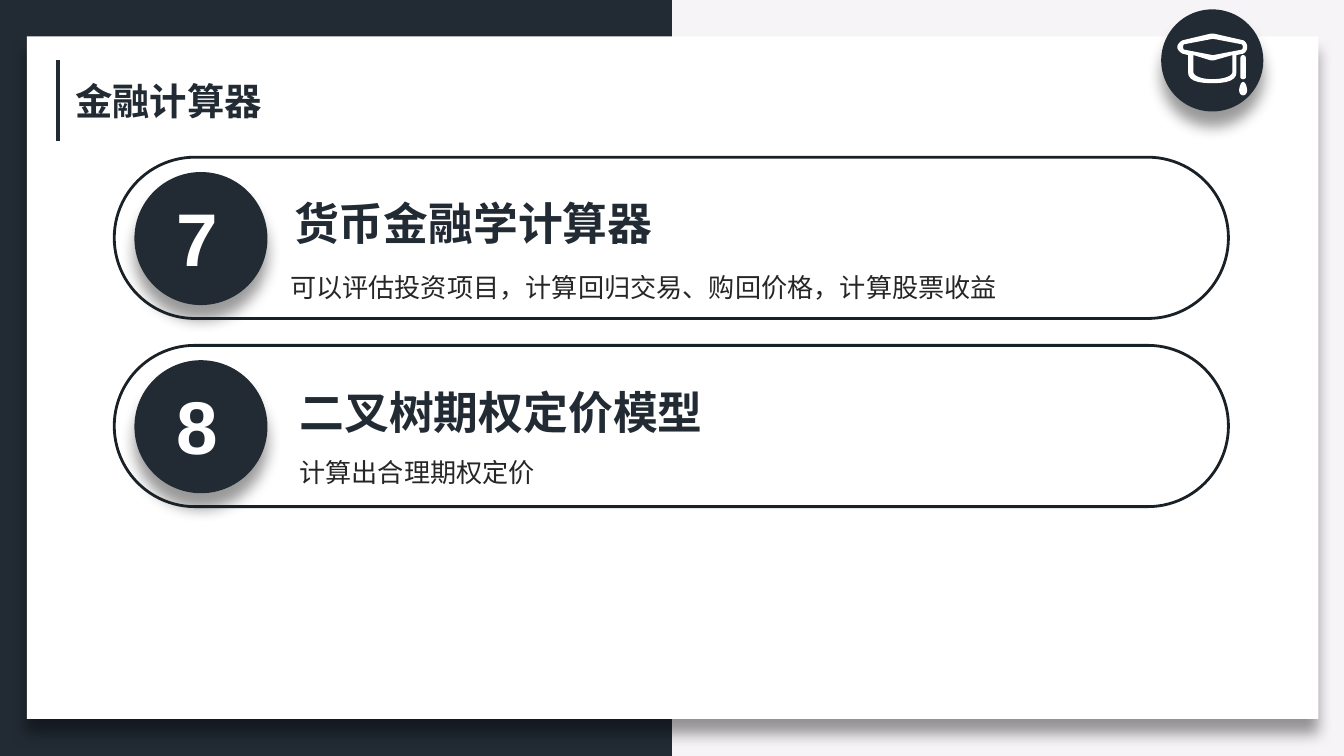
from lxml import etree
from pptx import Presentation
from pptx.dml.color import RGBColor
from pptx.enum.shapes import MSO_CONNECTOR, MSO_SHAPE
from pptx.enum.text import MSO_ANCHOR, MSO_AUTO_SIZE, PP_ALIGN
from pptx.oxml.ns import qn
from pptx.util import Emu, Pt

RECT, OVAL, CAPSULE = MSO_SHAPE.RECTANGLE, MSO_SHAPE.OVAL, MSO_SHAPE.ROUNDED_RECTANGLE
STRAIGHT = MSO_CONNECTOR.STRAIGHT
TOP, NO_FIT = MSO_ANCHOR.TOP, MSO_AUTO_SIZE.NONE
LEFT, CENTER = PP_ALIGN.LEFT, PP_ALIGN.CENTER

EMU_PER_PX = 9144  # 100 px to the inch
NAVY, OUTLINE, BODY, WHITE, PALE = "222B34", "192026", "262626", "FFFFFF", "F6F4F7"
CJK = "Noto Sans CJK SC"

ROW_TOP, ROW_PITCH = 117, 140
# number, heading, its box, description, its box (from the row top), line spacing
ROWS = [
    ("7", "货币金融学计算器", (209, 24, 289, 50),
     "可以评估投资项目，计算回归交易、购回价格，计算股票收益", (206, 80, 692, 34), 1),
    ("8", "二叉树期权定价模型", (213, 24, 323, 50),
     "计算出合理期权定价", (213, 71, 692, 38), 1.3),
]

# Outlines: a pair is a corner, six numbers are a Bezier curve to the last pair
CAP = [
    [(903, 41), (902, 41), (881, 37), (880, 36, 880, 34, 881, 33), (902, 29),
     (903, 29), (924, 33), (925, 34, 925, 36, 924, 37)],
    [(917, 54), (917, 56, 912, 59, 902, 59), (893, 59, 888, 56, 888, 54),
     (888, 41), (901, 45), (903, 45), (917, 41)],
    [(928, 35), (928, 33, 927, 31, 925, 30), (903, 25), (901, 25), (880, 30),
     (878, 31, 876, 33, 876, 35), (876, 37, 878, 39, 880, 40), (884, 41), (884, 54),
     (884, 59, 889, 62, 902, 62), (915, 62, 920, 59, 920, 54), (920, 41), (925, 40),
     (927, 39, 928, 37, 928, 35)],
]
CORD = [[(923, 43), (923, 58), (923, 58, 924, 59, 925, 59), (926, 59, 927, 58, 927, 58),
         (927, 43), (927, 42, 926, 41, 925, 41), (924, 41, 923, 42, 923, 43)]]
TASSEL = [[(925, 61), (923, 61, 922, 66, 922, 67), (922, 69, 923, 71, 925, 71),
           (927, 71, 928, 69, 928, 67), (928, 66, 927, 61, 925, 61)]]


def px(value):
    return Emu(round(value * EMU_PER_PX))


def color(value):
    return RGBColor.from_string(value)


def add_shadow(shape):
    """Give the shape a soft shadow straight below it."""
    effects = shape._element.spPr.find(qn("a:effectLst"))
    shadow = etree.SubElement(effects, qn("a:outerShdw"), blurRad=str(Pt(8)),
                              dist=str(Pt(8)), dir="5400000", algn="t", rotWithShape="0")
    black = etree.SubElement(shadow, qn("a:srgbClr"), val="000000")
    etree.SubElement(black, qn("a:alpha"), val="40000")


def add_solid(shapes, kind, box, fill, shadow=False):
    shape = shapes.add_shape(kind, *map(px, box))
    shape.shadow.inherit = False
    shape.fill.solid()
    shape.fill.fore_color.rgb = color(fill)
    shape.line.fill.background()
    if shadow:
        add_shadow(shape)


def add_capsule(shapes, box):
    capsule = shapes.add_shape(CAPSULE, *map(px, box))
    capsule.adjustments[0] = 0.5
    capsule.shadow.inherit = False
    capsule.fill.background()
    capsule.line.color.rgb = color(OUTLINE)
    capsule.line.width = Pt(1.5)


def add_rule(shapes, x, top, bottom):
    rule = shapes.add_connector(STRAIGHT, px(x), px(top), px(x), px(bottom))
    rule.line.color.rgb = color(NAVY)
    rule.line.width = Pt(2.25)
    etree.SubElement(rule._element.spPr, qn("a:effectLst"))


def flatten(contour, steps=6):
    """Turn corners and curves into a list of EMU points."""
    points = [contour[0]]
    for part in contour[1:]:
        if len(part) == 2:
            points.append(part)
            continue
        controls = [points[-1], part[:2], part[2:4], part[4:]]
        for step in range(1, steps + 1):
            t = step / steps
            weights = ((1 - t) ** 3, 3 * t * (1 - t) ** 2, 3 * t * t * (1 - t), t ** 3)
            points.append(tuple(sum(w * p[axis] for w, p in zip(weights, controls))
                                for axis in (0, 1)))
    return [(px(x), px(y)) for x, y in points]


def add_outline(shapes, contours):
    first, *others = map(flatten, contours)
    builder = shapes.build_freeform(*first[0])
    builder.add_line_segments(first[1:])
    for contour in others:
        builder.move_to(*contour[0])
        builder.add_line_segments(contour[1:])
    outline = builder.convert_to_shape()
    outline.shadow.inherit = False
    outline.fill.solid()
    outline.fill.fore_color.rgb = color(WHITE)
    outline.line.fill.background()


def write(shape, text, size, font, fill, bold=False, wrap=True, align=LEFT, spacing=1):
    frame = shape.text_frame
    frame.word_wrap = wrap
    frame.auto_size = NO_FIT
    frame.vertical_anchor = TOP
    paragraph = frame.paragraphs[0]
    paragraph.alignment = align
    paragraph.line_spacing = spacing
    run = paragraph.add_run()
    run.text = text
    run.font.size = Pt(size)
    run.font.bold = bold
    run.font.color.rgb = color(fill)
    run.font.name = font
    etree.SubElement(run.font._element, qn("a:ea"), typeface=CJK)


def add_text(shapes, box, *args, **kwargs):
    write(shapes.add_textbox(*map(px, box)), *args, **kwargs)


def add_backdrop(slide, height):
    slide.background.fill.solid()
    slide.background.fill.fore_color.rgb = color(PALE)
    add_solid(slide.shapes, RECT, (0, 0, 500, height / EMU_PER_PX), NAVY)
    add_solid(slide.shapes, RECT, (20, 27, 961, 508), WHITE, shadow=True)
    add_rule(slide.shapes, 43, 45, 105)


def add_badge(shapes):
    add_solid(shapes, OVAL, (864, 7, 76, 76), NAVY, shadow=True)
    for contours in (CAP, CORD, TASSEL):
        add_outline(shapes, contours)


def add_title(shapes):
    title = shapes.title
    title.left, title.top, title.width, title.height = map(px, (46, 53, 160, 44))
    write(title, "金融计算器", 20, CJK, NAVY, bold=True, wrap=False)
    # The placeholder comes first in the tree, so lift it above the white card
    shapes._spTree.append(title._element)


def add_row(shapes, top, number, heading, heading_box, detail, detail_box, spacing):
    def in_row(box):
        left, offset, width, height = box
        return left, top + offset, width, height

    add_solid(shapes, OVAL, in_row((100, 11, 99, 99)), NAVY, shadow=True)
    add_capsule(shapes, in_row((85, 0, 829, 120)))
    add_text(shapes, in_row(heading_box), heading, 24, "Arial", NAVY, bold=True, wrap=False)
    add_text(shapes, in_row(detail_box), detail, 14, "Calibri", BODY, spacing=spacing)
    add_text(shapes, in_row((95, 21, 104, 77)), number, 40, "Arial", WHITE,
             bold=True, align=CENTER)


def main():
    deck = Presentation()
    deck.slide_width = px(1000)
    deck.slide_height = deck.slide_width * 9 // 16
    slide = deck.slides.add_slide(deck.slide_layouts[5])
    add_backdrop(slide, deck.slide_height)
    add_badge(slide.shapes)
    add_title(slide.shapes)
    for index, row in enumerate(ROWS):
        add_row(slide.shapes, ROW_TOP + index * ROW_PITCH, *row)
    deck.save("out.pptx")


if __name__ == "__main__":
    main()
